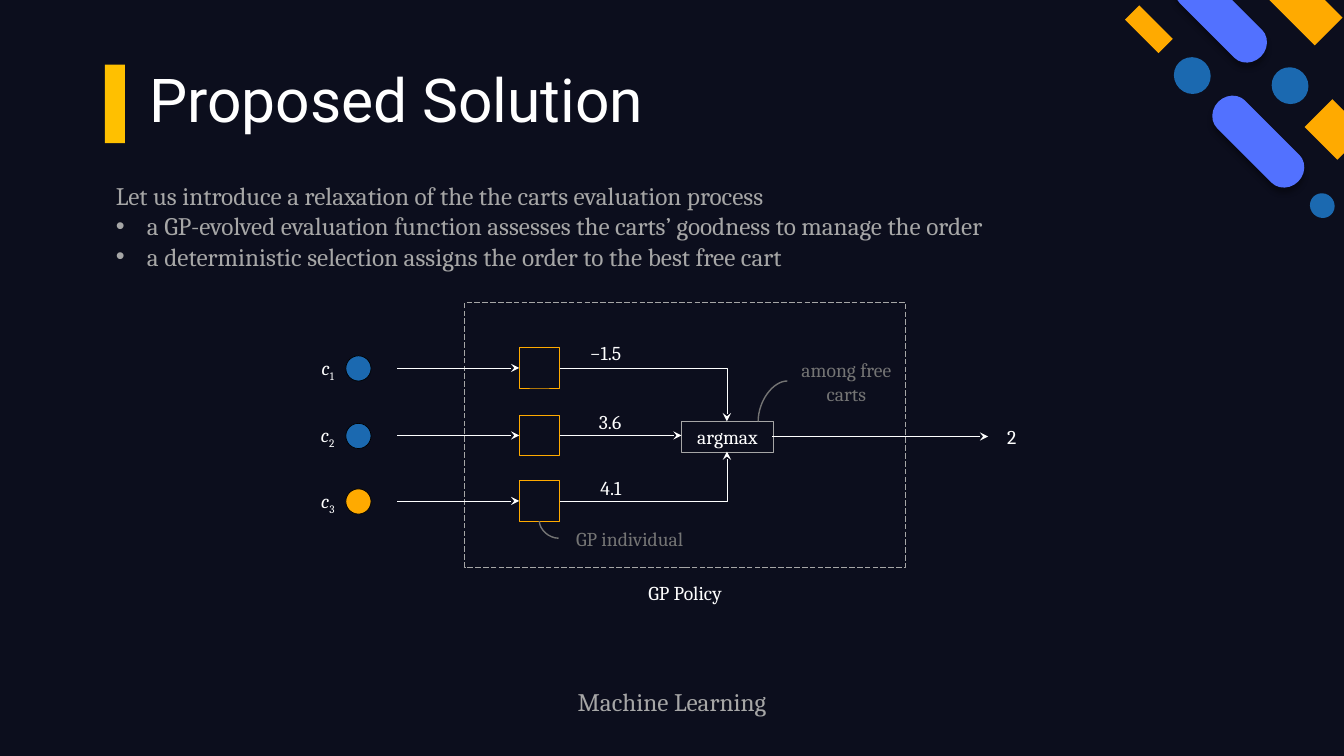
from pptx import Presentation
from pptx.util import Inches, Pt
from pptx.dml.color import RGBColor
from pptx.enum import dml, shapes, text
from pptx.oxml import parse_xml
from pptx.oxml.ns import nsdecls, qn
from lxml import etree

KIND = shapes.MSO_SHAPE
LINK = shapes.MSO_CONNECTOR
MID, TOP = text.MSO_ANCHOR.MIDDLE, text.MSO_ANCHOR.TOP
LEFT, MITTE, RIGHT = text.PP_ALIGN.LEFT, text.PP_ALIGN.CENTER, text.PP_ALIGN.RIGHT
WHITE, PALE, GREY = "FFFFFF", "A6A6A6", "747474"
BLUE, GOLD, VIOLET = "1B69B0", "FFAA00", "5271FF"
rgb = RGBColor.from_string

prs = Presentation()
prs.slide_width, prs.slide_height = Inches(13.33), Inches(7.5)
slide = prs.slides.add_slide(prs.slide_layouts[5])
slide.background.fill.solid()
slide.background.fill.fore_color.rgb = rgb("0C0E1D")


def write(box, lines, size=14, color=WHITE, font="Cambria", align=MITTE,
          anchor=MID, inset=(0.1, 0.05), italic=None, sub=None, bullets=False):
    """Fill a box, or a new text box at (left, top, width, height)."""
    if isinstance(box, tuple):
        box = slide.shapes.add_textbox(*map(Inches, box))
    frame = box.text_frame
    frame.word_wrap = True
    frame.vertical_anchor = anchor
    frame.margin_left = frame.margin_right = Inches(inset[0])
    frame.margin_top = frame.margin_bottom = Inches(inset[1])
    for i, line in enumerate(lines.split("\n")):
        para = frame.paragraphs[0] if i == 0 else frame.add_paragraph()
        para.alignment = align
        if bullets and i:
            props = para._p.get_or_add_pPr()
            props.set("marL", str(Inches(0.31)))
            props.set("indent", str(-Inches(0.31)))
            etree.SubElement(props, qn("a:buFont")).set("typeface", "Arial")
            etree.SubElement(props, qn("a:buChar")).set("char", "•")
        for part in filter(None, (line, sub)):
            run = para.add_run()
            run.text = part
            run.font.size, run.font.name = Pt(size), font
            run.font.color.rgb = rgb(color)
            run.font.italic = italic and part is line
            if part is sub:
                run.font._element.set("baseline", "-25000")
    return box


def draw(kind, box, fill=None, line=None, turn=0):
    """Add a preset shape."""
    shape = slide.shapes.add_shape(kind, *map(Inches, box))
    shape.shadow.inherit = False
    shape.rotation = turn
    if fill:
        shape.fill.solid()
        shape.fill.fore_color.rgb = rgb(fill)
    else:
        shape.fill.background()
    if line:
        shape.line.color.rgb = rgb(line)
        shape.line.width = Pt(0.5)
    else:
        shape.line.fill.background()
    return shape


# Title and its bar
title = slide.shapes.title
title.left, title.top, title.width, title.height = map(Inches, (1.23, 0.64, 10.87, 0.77))
write(title, "Proposed Solution", size=43.2, font="Roboto", align=LEFT)
title.text_frame.margin_left = Inches(0.25)
title.text_frame.paragraphs[0].line_spacing = 0.9
draw(KIND.RECTANGLE, (1.04, 0.64, 0.2, 0.78), "FFC000")

# Corner ornament
for left, top in ((11.55, -0.03), (11.92, 1.21)):
    pill = draw(KIND.FLOWCHART_TERMINATOR, (left, top, 1.12, 0.39), VIOLET, turn=45)
    glow = parse_xml(
        f'<a:outerShdw {nsdecls("a")} blurRad="50800" dist="50800" dir="5400000">'
        '<a:srgbClr val="000000"><a:alpha val="32000"/></a:srgbClr></a:outerShdw>')
    pill._element.spPr.find(qn("a:effectLst")).append(glow)
for box in ((13.01, 1.09, 0.46, 0.39), (11.16, 0.19, 0.47, 0.2), (12.41, -0.2, 0.9, 0.39)):
    draw(KIND.RECTANGLE, box, GOLD, turn=45)
for box in ((11.64, 0.57, 0.37, 0.36), (12.61, 0.67, 0.37, 0.36), (12.99, 1.92, 0.25, 0.24)):
    draw(KIND.OVAL, box, BLUE, turn=45)

# Introduction
write((1.05, 1.74, 11.26, 1.01),
      "Let us introduce a relaxation of the the carts evaluation process\n"
      "a GP-evolved evaluation function assesses the carts’ goodness to manage the order\n"
      "a deterministic selection assigns the order to the best free cart",
      size=18, color=PALE, align=LEFT, anchor=TOP, bullets=True)

# Carts, evaluators and scores
links = [(LINK.STRAIGHT, 5.55, 4.32, 6.76, 4.32),
         (LINK.STRAIGHT, 7.66, 4.33, 9.8, 4.33),
         (LINK.ELBOW, 5.55, 3.65, 7.21, 4.18),
         (LINK.ELBOW, 5.55, 4.97, 7.21, 4.48),
         (LINK.CURVE, 5.54, 5.34, 5.35, 5.17),
         (LINK.CURVE, 7.81, 3.78, 7.52, 4.18)]
rows = ((3.65, BLUE, "−1.5", 3.34), (4.32, BLUE, "3.6", 4.03), (4.97, GOLD, "4.1", 4.68))
for num, (mid, color, score, top) in enumerate(rows, 1):
    draw(KIND.RECTANGLE, (5.15, mid - 0.2, 0.4, 0.4), line=GOLD)
    draw(KIND.OVAL, (3.43, mid - 0.12, 0.25, 0.25), color, "000000")
    write((3.06, mid - 0.12, 0.38, 0.24), "c", anchor=TOP, inset=(0, 0),
          italic=True, sub=str(num))
    write((5.55, top, 0.71, 0.31), score, align=RIGHT)
    links.append((LINK.STRAIGHT, 3.94, mid, 5.15, mid))

# Selection, result and policy frame
write(draw(KIND.RECTANGLE, (6.76, 4.18, 0.91, 0.31), line=PALE), "argmax")
write((9.8, 4.18, 0.47, 0.31), "2")
frame = draw(KIND.RECTANGLE, (4.61, 3, 4.37, 2.63), line=PALE)
frame.line.dash_style = dml.MSO_LINE.LONG_DASH
write((6.16, 5.71, 1.27, 0.34), "GP Policy")

# Arrows and callout curves
for kind, *ends in links:
    link = slide.shapes.add_connector(kind, *map(Inches, ends))
    curve = kind == LINK.CURVE
    link.line.color.rgb = rgb(GREY if curve else WHITE)
    link.line.width = Pt(1 if curve else 0.5)
    props = link._element.spPr
    if kind != LINK.STRAIGHT:
        props.find(qn("a:prstGeom")).set(
            "prst", "curvedConnector2" if curve else "bentConnector2")
    if not curve:
        etree.SubElement(props.find(qn("a:ln")), qn("a:tailEnd")).set("type", "stealth")
    etree.SubElement(props, qn("a:effectLst"))

# Callouts and footer
write((5.54, 5.19, 1.41, 0.31), "GP individual", color=GREY)
write((7.81, 3.61, 1.17, 0.35), "among free\ncarts", color=GREY)
write((5.5, 6.76, 2.33, 0.4), "Machine Learning", size=18, color=PALE)

prs.save("out.pptx")
